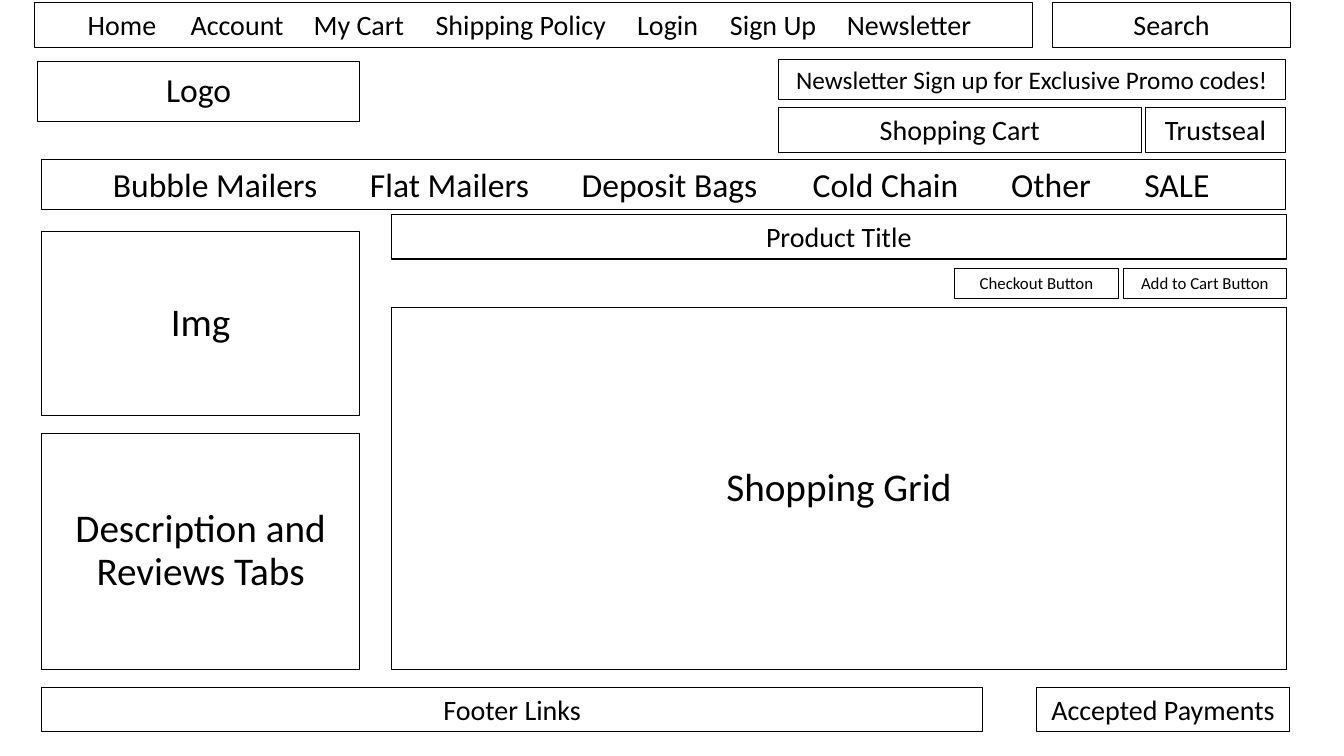
"""Builds a wireframe slide of an online shop's product page."""
from lxml import etree
from pptx import Presentation
from pptx.dml.color import RGBColor
from pptx.enum import shapes, text
from pptx.oxml import ns
from pptx.util import Inches, Pt

COLORS = {"paper": "FFFFFF", "ink": "000000"}
FONT = "Calibri"


def add_block(slide, box, label, size=20, anchor=text.MSO_ANCHOR.TOP, spacing=1.0):
    """Draw one outlined, labelled block and return it."""
    block = slide.shapes.add_shape(shapes.MSO_SHAPE.RECTANGLE, *map(Inches, box))
    block.shadow.inherit = False
    block.fill.background()
    block.line.color.rgb = RGBColor.from_string(COLORS["ink"])
    block.line.width = Pt(0.75)
    frame = block.text_frame
    frame.word_wrap = True
    frame.vertical_anchor = anchor
    paragraph = frame.paragraphs[0]
    paragraph.text = label
    paragraph.alignment = text.PP_ALIGN.CENTER
    paragraph.line_spacing = spacing
    paragraph.font.name = FONT
    paragraph.font.size = Pt(size)
    paragraph.font.color.rgb = RGBColor.from_string(COLORS["ink"])
    return block


def add_panel(slide, box, label, size=28):
    """Draw a content block with its label in the middle."""
    return add_block(slide, box, label, size, text.MSO_ANCHOR.MIDDLE, 0.9)


def add_menu(slide, box, entries, size, inset, stops):
    """Draw a menu bar whose entries start at the inset and at tab stops."""
    menu = add_block(slide, box, "\t".join(entries), size)
    menu.text_frame.margin_left = Inches(inset)
    paragraph = menu.text_frame.paragraphs[0]
    paragraph.alignment = text.PP_ALIGN.LEFT
    properties = paragraph._p.get_or_add_pPr()
    tabs = etree.SubElement(properties, ns.qn("a:tabLst"))
    properties.insert_element_before(tabs, "a:defRPr", "a:extLst")
    for stop in stops:
        etree.SubElement(tabs, ns.qn("a:tab"), pos=str(Inches(stop)), algn="l")


def add_top_bar(slide, left, top, width, height):
    """Place the site menu and the search field."""
    search_width = 2.36
    add_menu(slide, (left, top, width - search_width - 0.2, height),
             ["Home", "Account", "My Cart", "Shipping Policy", "Login", "Sign Up", "Newsletter"],
             20, 0.53, [1.02, 2.24, 3.45, 5.45, 6.37, 7.53])
    add_block(slide, (left + width - search_width, top, search_width, height), "Search")


def add_masthead(slide, left, top, width, height):
    """Place the logo, the newsletter offer, the cart and the trust seal."""
    offer_width, cart_width, seal_width, row = 5.03, 3.6, 1.39, 0.44
    right = left + width
    offer_left, lower_top = right - offer_width, top + height - row
    add_panel(slide, (left, top + 0.02, 3.2, 0.6), "Logo", 24)
    add_block(slide, (offer_left, top, offer_width, 0.4),
              "Newsletter Sign up for Exclusive Promo codes!", 18)
    add_block(slide, (offer_left, lower_top, cart_width, row), "Shopping Cart")
    add_block(slide, (right - seal_width, lower_top, seal_width, row), "Trustseal")


def add_category_bar(slide, left, top, width, height):
    """Place the product category menu."""
    add_menu(slide, (left, top, width, height),
             ["Bubble Mailers", "Flat Mailers", "Deposit Bags", "Cold Chain", "Other", "SALE"],
             24, 0.71, [2.55, 4.65, 6.94, 8.91, 10.23])


def add_sidebar(slide, left, top, width, height):
    """Stack the product image above the description tabs."""
    image_height, gap = 1.82, 0.18
    add_panel(slide, (left, top, width, image_height), "Img")
    add_panel(slide, (left, top + image_height + gap, width, height - image_height - gap),
              "Description and Reviews Tabs")


def add_product_area(slide, left, top, width, height):
    """Place the title, the two buttons and the shopping grid."""
    button_width, button_pitch, grid_offset = 1.62, 1.67, 0.92
    add_block(slide, (left, top, width, 0.44), "Product Title")
    for place, label in enumerate(["Add to Cart Button", "Checkout Button"]):
        button_left = left + width - button_width - place * button_pitch
        add_block(slide, (button_left, top + 0.53, button_width, 0.3), label, 12)
    add_panel(slide, (left, top + grid_offset, width, height - grid_offset), "Shopping Grid")


def add_footer(slide, left, top, width, height):
    """Place the footer links and the accepted payments."""
    payments_width = 2.51
    add_block(slide, (left, top, 9.34, height), "Footer Links")
    add_block(slide, (left + width - payments_width, top, payments_width, height),
              "Accepted Payments")


def main():
    """Assemble the page and save it."""
    deck = Presentation()
    deck.slide_width, deck.slide_height = Inches(13.33), Inches(7.5)
    page = deck.slides.add_slide(deck.slide_layouts[6])
    page.background.fill.solid()
    page.background.fill.fore_color.rgb = RGBColor.from_string(COLORS["paper"])
    add_top_bar(page, 0.34, 0.03, 12.46, 0.44)
    add_masthead(page, 0.37, 0.59, 12.38, 0.92)
    add_category_bar(page, 0.41, 1.58, 12.34, 0.5)
    add_sidebar(page, 0.41, 2.3, 3.16, 4.34)
    add_product_area(page, 3.88, 2.13, 8.88, 4.51)
    add_footer(page, 0.41, 6.82, 12.38, 0.44)
    deck.save("out.pptx")


main()
